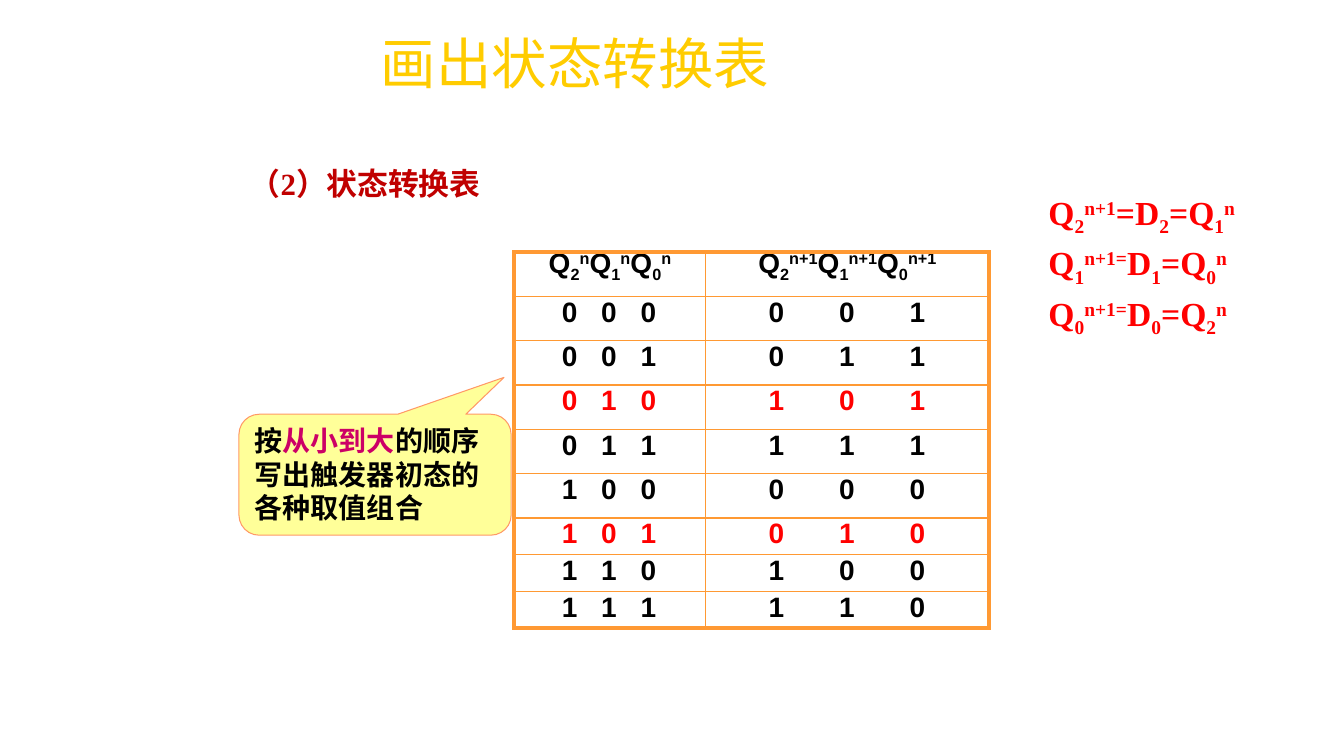
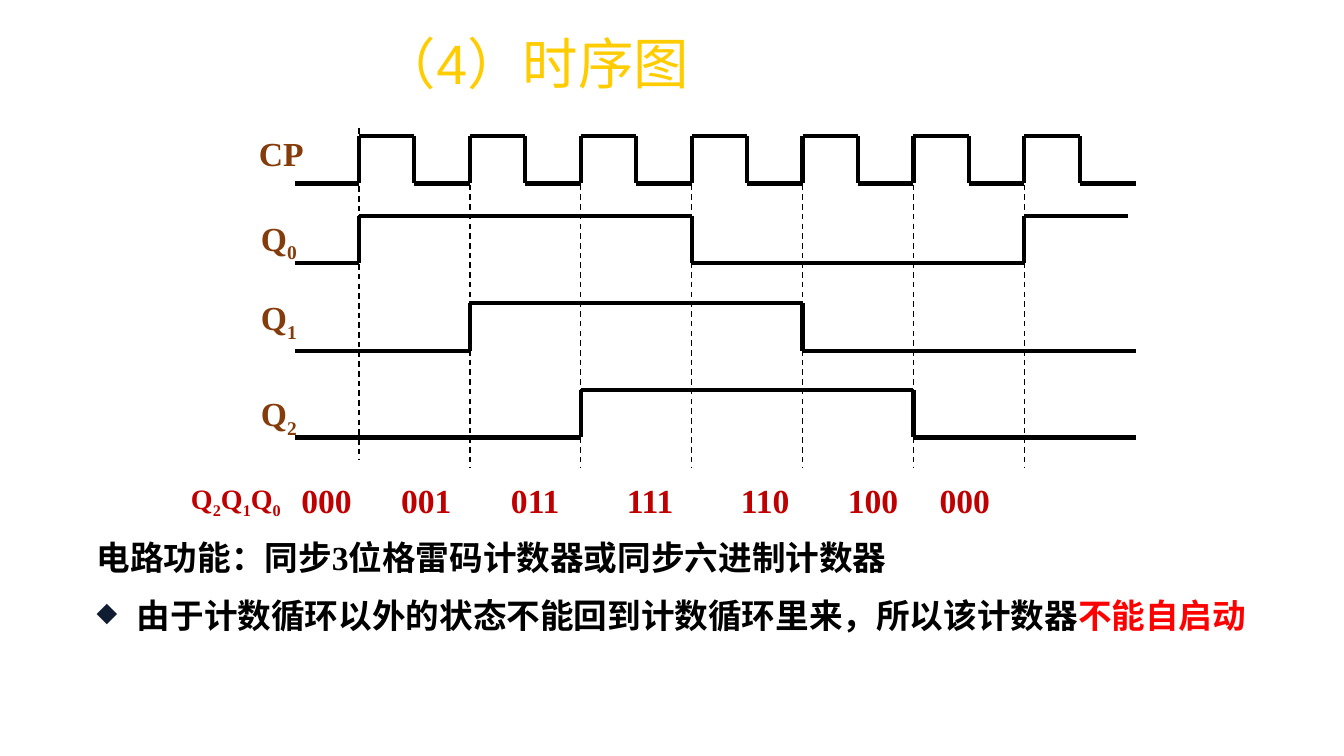
from dataclasses import dataclass
from itertools import pairwise

from lxml.etree import SubElement
from pptx import Presentation
from pptx.dml.color import RGBColor
from pptx.enum.dml import MSO_LINE
from pptx.enum.shapes import MSO_CONNECTOR, MSO_SHAPE
from pptx.enum.text import MSO_ANCHOR, PP_ALIGN
from pptx.oxml.ns import qn
from pptx.util import Inches, Pt


@dataclass(frozen=True)
class Theme:
    gold: str = "FFCC00"
    crimson: str = "C00000"
    red: str = "FF0000"
    pink: str = "CC0066"
    brown: str = "843C0B"
    black: str = "000000"
    orange: str = "FF9933"
    coral: str = "FF9966"
    cream: str = "FFFF99"
    navy: str = "101C32"
    sans: str = "Arial"
    serif: str = "Times New Roman"
    hei: str = "Noto Sans CJK SC"
    title: float = 39.6
    head: int = 22
    body: int = 24
    small: int = 20


T = Theme()
BASE = {"_": "-25000", "^": "30000"}
TICKS = [3.56 + 1.1 * i for i in range(7)]
START, DEPTH = 2.93, 0.47


def rgb(code):
    return RGBColor.from_string(code)


def style(par, size, color, name=T.serif, bold=True, space=None):
    font = par.font
    font.size, font.name, font.bold = Pt(size), name, bold
    font.color.rgb = rgb(color)
    if space:
        par.line_spacing = space


def write(par, text, accent=T.red):
    """Split text at |; a piece led by _ sinks, by ^ rises, by ! takes the accent."""
    for piece in filter(None, text.split("|")):
        mark = piece[0] if piece[0] in "_^!" else ""
        run = par.add_run()
        run.text = piece[len(mark):]
        if mark == "!":
            run.font.color.rgb = rgb(accent)
        elif mark:
            run._r.get_or_add_rPr().set("baseline", BASE[mark])


def tabs(par, stops):
    """Set centred tab stops, in inches."""
    group = SubElement(par._p.get_or_add_pPr(), qn("a:tabLst"))
    for stop in stops:
        SubElement(group, qn("a:tab"), pos=str(Inches(stop)), algn="ctr")


def bullet(par, char, color):
    props = par._p.get_or_add_pPr()
    props.set("marL", str(Inches(0.4)))
    props.set("indent", str(Inches(-0.4)))
    tint = SubElement(props, qn("a:buClr"))
    SubElement(tint, qn("a:srgbClr"), val=color)
    SubElement(props, qn("a:buSzPct"), val="80000")
    SubElement(props, qn("a:buChar"), char=char)


def frame(slide, x, y, w, h, wrap=True, anchor=MSO_ANCHOR.TOP):
    box = slide.shapes.add_textbox(Inches(x), Inches(y), Inches(w), Inches(h))
    box.text_frame.word_wrap = wrap
    box.text_frame.vertical_anchor = anchor
    return box.text_frame


def label(slide, text, place, size=T.body, color=T.black, **kind):
    par = frame(slide, *place, **kind).paragraphs[0]
    style(par, size, color)
    write(par, text)
    return par


def title(slide, text):
    par = frame(slide, 3.68, 0.33, 7.5, 0.67, anchor=MSO_ANCHOR.MIDDLE).paragraphs[0]
    style(par, T.title, T.gold, T.sans, False, 0.9)
    write(par, text)


def line(slide, start, end, width=3, dash=None):
    ends = [Inches(v) for v in (*start, *end)]
    wire = slide.shapes.add_connector(MSO_CONNECTOR.STRAIGHT, *ends)
    wire.line.color.rgb, wire.line.width = rgb(T.black), Pt(width)
    if dash:
        wire.line.dash_style = dash
    SubElement(wire._element.spPr, qn("a:effectLst"))


def wave(slide, top, edges, end):
    """Trace a signal that starts low and flips at each edge."""
    low = top + DEPTH
    level, points = low, [(START, low)]
    for x in edges:
        points.append((x, level))
        level = top if level == low else low
        points.append((x, level))
    points.append((end, level))
    for pair in pairwise(points):
        line(slide, *pair)


def border(cell, thick):
    """Outline a cell; sides named in thick get the heavy rule."""
    props = cell._tc.get_or_add_tcPr()
    for side in "LRTB":
        width = Pt(3 if side in thick else 1)
        edge = SubElement(props, qn(f"a:ln{side}"), w=str(width))
        fill = SubElement(edge, qn("a:solidFill"))
        SubElement(fill, qn("a:srgbClr"), val=T.orange)
    cell.fill.background()


def bits(value):
    return "".join(f"\t{bit}" for bit in f"{value:03b}")


def states(slide):
    heads = ["".join(f"Q|_{i}|^{sup}|" for i in (2, 1, 0)) for sup in ("n", "n+1")]
    nexts = [1, 3, 5, 7, 0, 2, 4, 6]
    rows = [heads] + [[bits(n), bits(new)] for n, new in enumerate(nexts)]
    widths, stops = (1.9, 2.81), ((0.45, 0.84, 1.23), (0.6, 1.3, 2))
    grid = slide.shapes.add_table(len(rows), 2, Inches(5.1), Inches(2.5),
                                  Inches(sum(widths)), Inches(3.74)).table
    grid.first_row = grid.horz_banding = False
    for col, width in zip(grid.columns, widths):
        col.width = Inches(width)
    for r, row in enumerate(rows):
        grid.rows[r].height = Inches(0.44 if r < 6 else 0.36)
        for c, text in enumerate(row):
            cell = grid.cell(r, c)
            par = cell.text_frame.paragraphs[0]
            if r:
                tabs(par, stops[c])
            else:
                par.alignment = PP_ALIGN.CENTER
            # States 010 and 101 lie outside the counting cycle.
            color = T.red if r - 1 in (2, 5) else T.black
            style(par, T.small, color, T.sans, space=Pt(19))
            write(par, text)
            border(cell, "LR"[c] + {0: "T", len(rows) - 1: "B"}.get(r, ""))


def callout(slide, text):
    shape = slide.shapes.add_shape(MSO_SHAPE.ROUNDED_RECTANGULAR_CALLOUT,
                                   Inches(2.37), Inches(4.11), Inches(2.7), Inches(1.2))
    for i, value in enumerate((0.474, -0.805, 0.167)):
        shape.adjustments[i] = value
    shape.shadow.inherit = False
    shape.fill.solid()
    shape.fill.fore_color.rgb = rgb(T.cream)
    shape.line.color.rgb, shape.line.width = rgb(T.coral), Pt(0.75)
    shape.text_frame.word_wrap = True
    shape.text_frame.vertical_anchor = MSO_ANCHOR.BOTTOM
    par = shape.text_frame.paragraphs[0]
    par.alignment = PP_ALIGN.LEFT
    style(par, T.small, T.black, T.hei)
    write(par, text, T.pink)


def rules(slide):
    body = frame(slide, 10.3, 1.81, 2.26, 1.43)
    lines = ("Q|_2|^n+1|=D|_2|=Q|_1|^n",
             "Q|_1|^n+1=|D|_1|=Q|_0|^n",
             "Q|_0|^n+1=|D|_0|=Q|_2|^n")
    for i, text in enumerate(lines):
        par = body.add_paragraph() if i else body.paragraphs[0]
        style(par, T.body, T.red, space=1.1)
        write(par, text)


def timing(slide):
    clock = [TICKS[0] + 0.55 * i for i in range(14)]
    signals = (
        ("CP", 2.47, 1.27, 1.35, clock, 11.27),
        ("Q|_0", 2.49, 2.11, 2.14, TICKS[::3], 11.19),
        ("Q|_1", 2.49, 2.9, 3.01, TICKS[1:5:3], 11.27),
        ("Q|_2", 2.49, 3.85, 3.87, TICKS[2:6:3], 11.27),
    )
    for name, x, y, top, edges, end in signals:
        wave(slide, top, edges, end)
        label(slide, name, (x, y, 0.65, 0.5), color=T.brown, wrap=False)
    for i, x in enumerate(TICKS):
        top = 1.35 if i else 1.27
        line(slide, (x, top), (x, top + 3.28), 1, MSO_LINE.DASH)


def codes(slide):
    par = label(slide, "Q|_2|Q|_1|Q|_0", (1.68, 4.73, 1.32, 0.4), T.small, T.crimson)
    par.alignment, par.line_spacing = PP_ALIGN.CENTER, 0.9
    par = frame(slide, 2.89, 4.71, 7.2, 0.5).paragraphs[0]
    tabs(par, (0.25, 1.24, 2.32, 3.46, 4.6, 5.67, 6.58))
    style(par, T.body, T.crimson)
    write(par, "".join(bits_ for bits_ in map("\t{:03b}".format, (0, 1, 3, 7, 6, 4, 0))))


def notes(slide):
    label(slide, "电路功能：同步3位格雷码计数器或同步六进制计数器", (0.86, 5.28, 8.29, 0.5))
    par = frame(slide, 0.86, 5.85, 12.12, 0.5).paragraphs[0]
    bullet(par, "◆", T.navy)
    style(par, T.body, T.black)
    write(par, "由于计数循环以外的状态不能回到计数循环里来，所以该计数器|!不能自启动")


def main():
    deck = Presentation()
    deck.slide_width, deck.slide_height = Inches(13.33), Inches(7.5)
    blank = deck.slide_layouts[6]

    slide = deck.slides.add_slide(blank)
    title(slide, "画出状态转换表")
    label(slide, "（2）状态转换表", (2.38, 1.63, 2.99, 0.37), T.head, T.crimson,
          anchor=MSO_ANCHOR.MIDDLE)
    states(slide)
    callout(slide, "按|!从小到大|的顺序写出触发器初态的各种取值组合")
    rules(slide)

    slide = deck.slides.add_slide(blank)
    title(slide, "（4）时序图")
    timing(slide)
    notes(slide)
    codes(slide)

    deck.save("out.pptx")


if __name__ == "__main__":
    main()
